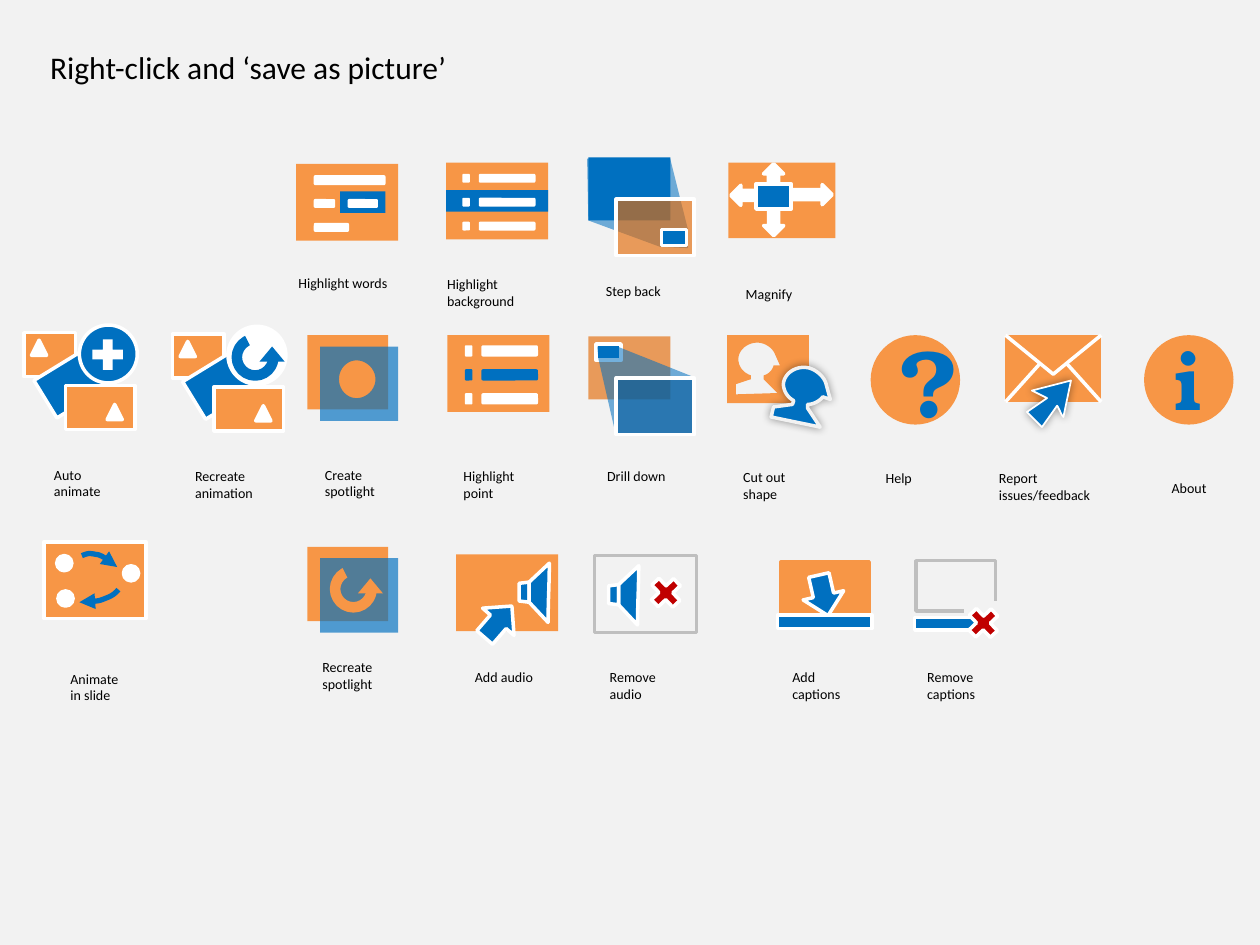
from lxml import etree
from pptx import Presentation
from pptx.dml.color import RGBColor
from pptx.enum.shapes import MSO_CONNECTOR, MSO_SHAPE
from pptx.enum.text import MSO_ANCHOR, MSO_AUTO_SIZE, PP_ALIGN
from pptx.oxml.ns import qn
from pptx.util import Inches, Pt

RECT, ROUND = MSO_SHAPE.RECTANGLE, MSO_SHAPE.ROUNDED_RECTANGLE
TRIANGLE, CIRCLE = MSO_SHAPE.ISOSCELES_TRIANGLE, MSO_SHAPE.FLOWCHART_CONNECTOR
PLUS, ARC, PROCESS = MSO_SHAPE.MATH_PLUS, MSO_SHAPE.ARC, MSO_SHAPE.FLOWCHART_PROCESS
RIGHT, UP = MSO_SHAPE.RIGHT_ARROW, MSO_SHAPE.UP_ARROW
STRAIGHT = MSO_CONNECTOR.STRAIGHT
COLOURS = {"orange": "F79646", "blue": "0070C0", "white": "FFFFFF", "paper": "F2F2F2",
           "black": "000000", "grey": "BFBFBF", "red": "C00000", "amber": "E46C0A",
           "navy": "00589A"}
LABELS = [
    ("Highlight words", 2.27, 2.13, 1, .24), ("Highlight background", 3.45, 2.14, 1, .37),
    ("Step back", 4.71, 2.19, .75, .24), ("Magnify", 5.82, 2.22, .75, .24),
    ("Auto animate", .33, 3.65, .62, .37), ("Recreate animation", 1.45, 3.66, .75, .37),
    ("Create spotlight", 2.48, 3.65, .75, .37), ("Highlight point", 3.58, 3.66, .75, .37),
    ("Drill down", 4.72, 3.66, .75, .24), ("Cut out shape", 5.8, 3.67, .75, .37),
    ("Help", 6.93, 3.68, .75, .24), ("Report issues/feedback", 7.83, 3.68, .97, .37),
    ("About", 9.2, 3.76, .49, .24), ("Animate in slide", .46, 5.27, .62, .37),
    ("Recreate spotlight", 2.46, 5.18, .75, .37), ("Add audio", 3.67, 5.26, .75, .24),
    ("Remove audio", 4.74, 5.26, .75, .37), ("Add captions", 6.19, 5.26, .75, .37),
    ("Remove captions", 7.26, 5.26, .75, .37)]


def rgb(name):
    return RGBColor.from_string(COLOURS[name])


def add_xml(parent, tag, **attributes):
    return etree.SubElement(parent, qn(tag), attributes)


def paint(item, fill=None, alpha=None, line=None, width=2, shadow=False):
    item.shadow.inherit = False
    if fill:
        item.fill.solid()
        item.fill.fore_color.rgb = rgb(fill)
        if alpha:
            colour = item.fill._xPr.find(".//" + qn("a:srgbClr"))
            add_xml(colour, "a:alpha", val=str(alpha * 1000))
    else:
        item.fill.background()
    if line:
        item.line.color.rgb = rgb(line)
        item.line.width = Pt(width)
    else:
        item.line.fill.background()
    if shadow:
        effects = item._element.spPr.find(qn("a:effectLst"))
        outer = add_xml(effects, "a:outerShdw", blurRad=str(Pt(5)))
        black = add_xml(outer, "a:srgbClr", val=COLOURS["black"])
        add_xml(black, "a:alpha", val="40000")


def shape(icon, kind, x, y, w, h, fill=None, rot=0, adjust=(), **style):
    item = icon.add_shape(kind, Inches(x), Inches(y), Inches(w), Inches(h))
    item.rotation = rot
    for index, value in enumerate(adjust):
        item.adjustments[index] = value
    paint(item, fill, **style)
    return item


def flatten(contour, dx, dy, steps=10):
    """Turn points and (control, control, end) curves into plain points."""
    points = [contour[0]]
    for part in contour[1:]:
        if len(part) == 2:
            points.append(part)
            continue
        start = points[-1]
        for t in (i / steps for i in range(1, steps + 1)):
            weights = ((1 - t) ** 3, 3 * t * (1 - t) ** 2, 3 * t * t * (1 - t), t ** 3)
            points.append(tuple(sum(k * v for k, v in zip(weights, (start[a], *part[a::2])))
                                for a in (0, 1)))
    return [(Inches(x + dx), Inches(y + dy)) for x, y in points]


def outline(icon, *contours, dx=0, dy=0, closed=True, arrow=False, **style):
    paths = [flatten(contour, dx, dy) for contour in contours]
    builder = icon.build_freeform(*paths[0][0])
    for index, points in enumerate(paths):
        if index:
            builder.move_to(*points[0])
        builder.add_line_segments(points[1:], close=closed)
    item = builder.convert_to_shape()
    paint(item, **style)
    if arrow:
        add_xml(item.line._get_or_add_ln(), "a:tailEnd", type="triangle")


def box(x, y, w, h):
    return [(x, y), (x + w, y), (x + w, y + h), (x, y + h)]


def write(frame, text, size=8, font="Calibri", colour="black", bold=False, align=None):
    paragraph = frame.paragraphs[0]
    paragraph.alignment = align
    run = paragraph.add_run()
    run.text = text
    run.font.size, run.font.name, run.font.bold = Pt(size), font, bold
    run.font.color.rgb = rgb(colour)
    return run


def label(slide, text, x, y, w, h, **style):
    frame = slide.shapes.add_textbox(Inches(x), Inches(y), Inches(w), Inches(h)).text_frame
    frame.word_wrap = True
    frame.auto_size = MSO_AUTO_SIZE.SHAPE_TO_FIT_TEXT
    write(frame, text, **style)


def spotlight(icon, y, *hole):
    shape(icon, RECT, 2.44, y, .64, .59, "orange")
    outline(icon, *hole, box(2.54, y + .09, .62, .59), fill="blue", alpha=67)


def redo(icon, x, y, colour, end):
    shape(icon, ARC, x, y, .29, .29, line=colour, width=6, adjust=(3.72, end))
    shape(icon, TRIANGLE, x + .18, y + .06, .2, .12, colour)


def bullet_row(icon, x, y, h, colour="white"):
    shape(icon, ROUND, x + .13, y, .45, h, colour)
    shape(icon, ROUND, x, y, .06, h, colour)


def photos(icon, x, y, badge):
    for kind, dx, dy, w, h, fill, rot in [
            (RECT, 0, 0, .41, .35, "orange", 0), (RECT, .13, .21, .55, .35, "blue", 328.5),
            (TRIANGLE, .06, .06, .12, .12, "white", 0), (RECT, .33, .42, .55, .35, "orange", 0),
            (TRIANGLE, .66, .57, .12, .12, "white", 0), (CIRCLE, .44, -.06, .46, .46, badge, 0)]:
        shape(icon, kind, x + dx, y + dy, w, h, fill, rot, line="white")


def speaker(icon, x, y):
    outline(icon, [(0, .16), (.08, .15), (.08, .21, .08, .26, .08, .31), (0, .3)],
            [(.24, 0), (.24, .16, .23, .31, .23, .47), (.08, .31),
             (.08, .26, .08, .2, .08, .15)], dx=x, dy=y, fill="blue", line="white")


def cross(icon, x, y):
    shape(icon, PLUS, x, y, .33, .33, "red", 46.5, line="white")


def letter(icon, x, text, size):
    frame = shape(icon, CIRCLE, x, 2.66, .71, .71, "orange").text_frame
    frame.vertical_anchor = MSO_ANCHOR.MIDDLE
    run = write(frame, text, size=size, font="TeX Gyre Bonum", colour="blue", bold=True,
                align=PP_ALIGN.CENTER)
    edge = etree.Element(qn("a:ln"), w=str(Pt(1)))
    add_xml(add_xml(edge, "a:solidFill"), "a:srgbClr", val=COLOURS["white"])
    run.font._element.insert(0, edge)


def highlight_icons(new):
    words, background, point = new(), new(), new()
    shape(words, RECT, 2.35, 1.3, .81, .61, "orange")
    shape(words, RECT, 2.7, 1.52, .36, .17, "blue")
    for x, y, w in [(2.49, 1.39, .57), (2.49, 1.77, .28), (2.76, 1.58, .24), (2.49, 1.58, .17)]:
        shape(words, ROUND, x, y, w, .08 if w == .57 else .07, "white")
    shape(background, RECT, 3.54, 1.29, .81, .61, "orange")
    shape(background, RECT, 3.54, 1.51, .81, .17, "blue")
    shape(point, RECT, 3.55, 2.66, .81, .61, "orange")
    for row, colour in enumerate(("white", "blue", "white")):
        bullet_row(background, 3.67, 1.38 + .19 * row, .07)
        bullet_row(point, 3.69, 2.74 + .19 * row, .09, colour)


def zoom_icons(new):
    back, drill, magnify = new(), new(), new()
    shape(back, RECT, 4.67, 1.25, .65, .5, "blue")
    outline(back, [(4.67, 1.75), (5.24, 1.96), (5.46, 1.97), (5.46, 1.82), (5.32, 1.26),
                   (4.66, 1.26)], fill="blue", alpha=55)
    shape(back, RECT, 4.89, 1.58, .62, .45, "amber", alpha=65, line="white")
    shape(back, RECT, 5.25, 1.82, .2, .13, "blue", line="white")
    shape(drill, RECT, 4.67, 2.67, .65, .5, "amber", alpha=65)
    shape(drill, RECT, 4.73, 2.73, .2, .13, "blue", line="white")
    outline(drill, [(4.75, 2.85), (4.89, 3.46), (5.5, 3.46), (5.5, 2.99), (4.9, 2.75),
                    (4.74, 2.75)], fill="blue", alpha=55)
    shape(drill, RECT, 4.89, 3, .62, .45, "navy", alpha=61, line="white")
    shape(magnify, RECT, 5.78, 1.29, .85, .6, "orange")
    for x, y, h, rot in [(6.06, 1.3, .24, 0), (6.06, 1.63, .24, 180), (6.32, 1.34, .41, 90),
                         (5.87, 1.4, .3, 270)]:
        shape(magnify, UP, x, y, .16, h, "white", rot, line="white")
    shape(magnify, RECT, 6, 1.46, .28, .2, "blue", line="white")


def animation_icons(new):
    auto, again, in_slide = new(), new(), new()
    photos(auto, .19, 2.64, "blue")
    shape(auto, PLUS, .69, 2.65, .33, .33, "white")
    photos(again, 1.37, 2.65, "white")
    redo(again, 1.88, 2.69, "blue", 147.24)
    shape(in_slide, RECT, .35, 4.3, .81, .61, "orange", line="white")
    for x, y in [(.45, 4.41), (.98, 4.49), (.46, 4.69)]:
        shape(in_slide, CIRCLE, x, y, .12, .12, "white", line="white")
    for curve in ([(.65, 4.41), (.7, 4.39, .71, 4.39, .76, 4.4), (.81, 4.4, .89, 4.47, .93, 4.5)],
                  [(.94, 4.68), (.9, 4.73, .86, 4.74, .81, 4.76),
                   (.76, 4.78, .69, 4.77, .63, 4.78)]):
        outline(in_slide, curve, closed=False, arrow=True, line="blue", width=3)


def cutting_icons(new):
    create, recreate, cut = new(), new(), new()
    spotlight(create, 2.66, [
        (2.83, 2.86), (2.75, 2.86, 2.69, 2.93, 2.69, 3.01), (2.69, 3.09, 2.75, 3.16, 2.83, 3.16),
        (2.91, 3.16, 2.98, 3.09, 2.98, 3.01), (2.98, 2.93, 2.91, 2.86, 2.83, 2.86)])
    spotlight(recreate, 4.34)
    redo(recreate, 2.66, 4.53, "orange", 145.61)
    outline(cut, [
        (6.01, 2.72), (5.93, 2.72, 5.86, 2.78, 5.86, 2.85), (5.86, 2.91, 5.9, 2.96, 5.96, 2.98),
        (5.96, 3.01), (5.84, 3.05), (5.84, 3.13), (6.17, 3.12), (6.06, 3.01), (6.06, 2.98),
        (6.1, 2.97, 6.13, 2.94, 6.14, 2.9), (6.19, 2.9), (6.15, 2.81),
        (6.13, 2.76, 6.07, 2.72, 6.01, 2.72)], box(5.77, 2.66, .65, .54), fill="orange")
    outline(cut, [
        (6.42, 2.92), (6.49, 2.94, 6.55, 3, 6.56, 3.06), (6.59, 3.17), (6.53, 3.15),
        (6.51, 3.18, 6.46, 3.21, 6.41, 3.21), (6.41, 3.24), (6.51, 3.39), (6.12, 3.31),
        (6.14, 3.23), (6.29, 3.21), (6.3, 3.18), (6.24, 3.15, 6.21, 3.08, 6.22, 3.03),
        (6.24, 2.95, 6.33, 2.9, 6.42, 2.92)], fill="blue", line="paper", shadow=True)


def support_icons(new):
    letter(new(), 6.91, "?", 54)
    report = new()
    shape(report, PROCESS, 7.98, 2.66, .76, .53, "orange")
    outline(report, [(7.98, 2.66), (8.36, 2.97), (8.74, 2.66)], closed=False, fill="orange",
            line="white")
    for start, end in ((7.98, 8.25), (8.74, 8.47)):
        fold = report.add_connector(STRAIGHT, Inches(start), Inches(3.19), Inches(end),
                                    Inches(2.89))
        fold.line.color.rgb, fold.line.width = rgb("white"), Pt(2)
        add_xml(fold._element.spPr, "a:effectLst")
    outline(report, [(8.15, 3.27), (8.31, 3.16), (8.19, 3.1), (8.5, 3.02), (8.44, 3.31),
                     (8.42, 3.29, 8.41, 3.25, 8.39, 3.22), (8.27, 3.39)],
            fill="blue", line="white", width=1, shadow=True)
    letter(new(), 9.08, "i", 44)


def media_icons(new):
    add_audio, no_audio, add_captions, no_captions = new(), new(), new(), new()
    shape(add_audio, RECT, 3.62, 4.4, .81, .61, "orange")
    speaker(add_audio, 4.12, 4.47)
    shape(add_audio, RIGHT, 3.79, 4.77, .33, .33, "blue", 310.8, line="white")
    cross(no_audio, 5.12, 4.54)
    shape(no_audio, RECT, 4.72, 4.41, .81, .61, line="grey")
    speaker(no_audio, 4.83, 4.49)
    shape(add_captions, RECT, 6.2, 4.46, .7, .42, "orange", line="orange")
    shape(add_captions, RIGHT, 6.37, 4.56, .33, .33, "blue", 77.2, line="white")
    shape(add_captions, RECT, 6.17, 4.88, .75, .11, "blue", line="white")
    shape(no_captions, RECT, 7.26, 4.9, .53, .1, "blue", line="white")
    outline(no_captions, [(7.65, 4.85), (7.27, 4.85), (7.27, 4.45), (7.9, 4.45), (7.9, 4.77)],
            closed=False, line="grey")
    cross(no_captions, 7.64, 4.78)


def main():
    deck = Presentation()
    deck.slide_width, deck.slide_height = Inches(10), Inches(7.5)
    slide = deck.slides.add_slide(deck.slide_layouts[6])
    slide.background.fill.solid()
    slide.background.fill.fore_color.rgb = rgb("paper")
    label(slide, "Right-click and ‘save as picture’", .3, .33, 3.83, .4, size=18)
    for draw in (highlight_icons, zoom_icons, animation_icons, cutting_icons, support_icons,
                 media_icons):
        draw(lambda: slide.shapes.add_group_shape().shapes)
    for text, *place in LABELS:
        label(slide, text, *place)
    deck.save("out.pptx")


if __name__ == "__main__":
    main()
